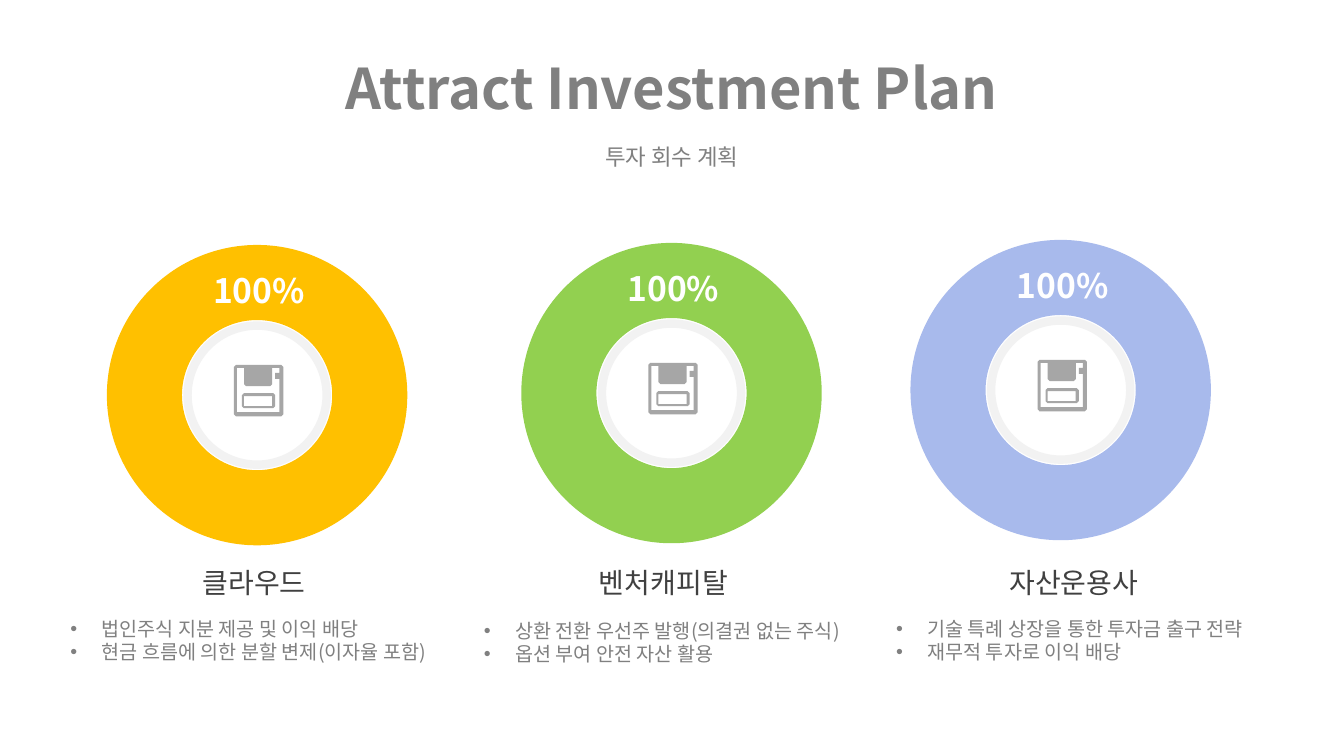
from lxml import etree
from pptx import Presentation
from pptx.dml.color import RGBColor
from pptx.enum.shapes import MSO_SHAPE as Shape
from pptx.enum.text import MSO_ANCHOR as Anchor, PP_ALIGN as Align
from pptx.oxml.ns import qn
from pptx.util import Inches, Pt

FONT = "Noto Sans CJK KR"
GREY, DARK, WHITE, RIM, ICON = "808080", "404040", "FFFFFF", "F2F2F2", "A6A6A6"
RING, HUB = 2.98, 1.38

# Donut corner and colour, heading and its left, bullets and their box
PLANS = [
    ((1.06, 2.43), "FFC000", "클라우드", 0.83, (0.6, 6.07, 3.97),
     ["법인주식 지분 제공 및 이익 배당", "현금 흐름에 의한 분할 변제(이자율 포함)"]),
    ((5.17, 2.41), "92D050", "벤처캐피탈", 4.89, (4.7, 6.09, 4.02),
     ["상환 전환 우선주 발행(의결권 없는 주식)", "옵션 부여 안전 자산 활용"]),
    ((9.03, 2.38), "A8BAEC", "자산운용사", 8.96, (8.79, 6.07, 4.04),
     ["기술 특례 상장을 통한 투자금 출구 전략", "재무적 투자로 이익 배당"]),
]


def rounded(left, top, right, bottom, cut=0.02):
    """Outline of a box with cut corners."""
    return [(left + cut, top), (right - cut, top), (right, top + cut),
            (right, bottom - cut), (right - cut, bottom),
            (left + cut, bottom), (left, bottom - cut), (left, top + cut)]


# Floppy disk, in inches from its top left corner
DISK_BODY = [
    rounded(0, 0, 0.49, 0.51),
    [(0.45, 0.14), (0.45, 0.47), (0.03, 0.47), (0.03, 0.03), (0.1, 0.03),
     (0.1, 0.19), (0.12, 0.21), (0.36, 0.21), (0.38, 0.19), (0.38, 0.03),
     (0.45, 0.03), (0.45, 0.08), (0.41, 0.08), (0.41, 0.14)],
]
DISK_LABEL = [rounded(0.08, 0.28, 0.41, 0.43), rounded(0.1, 0.31, 0.38, 0.41, 0)]


def rgb(code):
    return RGBColor.from_string(code)


def paint(shape, fill, line=None, width=0):
    shape.shadow.inherit = False
    shape.fill.solid()
    shape.fill.fore_color.rgb = rgb(fill)
    if line:
        shape.line.color.rgb = rgb(line)
        shape.line.width = Pt(width)
    else:
        shape.line.fill.background()


def add_bullet(paragraph):
    props = paragraph._p.get_or_add_pPr()
    props.set("marL", str(Inches(0.31)))
    props.set("indent", str(-Inches(0.31)))
    etree.SubElement(props, qn("a:buFont")).set("typeface", "Arial")
    etree.SubElement(props, qn("a:buChar")).set("char", "•")


def add_text(slide, lines, box, size, color=GREY, bold=False,
             align=Align.CENTER, anchor=Anchor.TOP, bullets=False):
    frame = slide.shapes.add_textbox(*map(Inches, box)).text_frame
    frame.word_wrap = True
    frame.vertical_anchor = anchor
    for index, line in enumerate(lines):
        paragraph = frame.add_paragraph() if index else frame.paragraphs[0]
        paragraph.alignment = align
        if bullets:
            add_bullet(paragraph)
        run = paragraph.add_run()
        run.text = line
        run.font.size, run.font.bold, run.font.name = Pt(size), bold, FONT
        run.font.color.rgb = rgb(color)
        # Hangul takes the East Asian typeface
        etree.SubElement(run._r.get_or_add_rPr(), qn("a:ea")).set("typeface", FONT)


def add_round(slide, kind, left, top, size, fill, **outline):
    box = map(Inches, (left, top, size, size))
    paint(slide.shapes.add_shape(kind, *box), fill, **outline)


def add_outline(slide, left, top, contours):
    placed = [[(Inches(left + x), Inches(top + y)) for x, y in contour]
              for contour in contours]
    builder = slide.shapes.build_freeform(*placed[0][0])
    for index, contour in enumerate(placed):
        if index:
            builder.move_to(*contour[0])
        builder.add_line_segments(contour[1:], close=True)
    paint(builder.convert_to_shape(), ICON)


def add_donut(slide, left, top, color):
    add_round(slide, Shape.DONUT, left, top, RING, color)
    inset = (RING - HUB) / 2
    add_round(slide, Shape.OVAL, left + inset, top + inset, HUB, WHITE,
              line=RIM, width=6)
    add_text(slide, ["100%"], (left + 0.64, top + 0.2, 1.74, 0.5), 24,
             color=WHITE, bold=True)
    for part in (DISK_BODY, DISK_LABEL):
        add_outline(slide, left + 1.26, top + 1.19, part)


def main():
    deck = Presentation()
    deck.slide_width, deck.slide_height = Inches(13.33), Inches(7.5)
    slide = deck.slides.add_slide(deck.slide_layouts[6])

    # Heading
    add_text(slide, ["Attract\u00a0Investment Plan".replace("\u00a0", " ")],
             (0.88, 0.36, 11.56, 1), 40, bold=True, anchor=Anchor.MIDDLE)
    add_text(slide, ["투자 회수 계획"], (0.88, 1.37, 11.57, 0.41), 16)

    # One column per investor
    for corner, color, name, name_left, bullet_box, points in PLANS:
        add_donut(slide, *corner, color)
        add_text(slide, [name], (name_left, 5.56, 3.38, 0.44), 20, color=DARK)
        add_text(slide, points, (*bullet_box, 0.57), 14, align=Align.LEFT,
                 bullets=True)

    deck.save("out.pptx")


if __name__ == "__main__":
    main()
